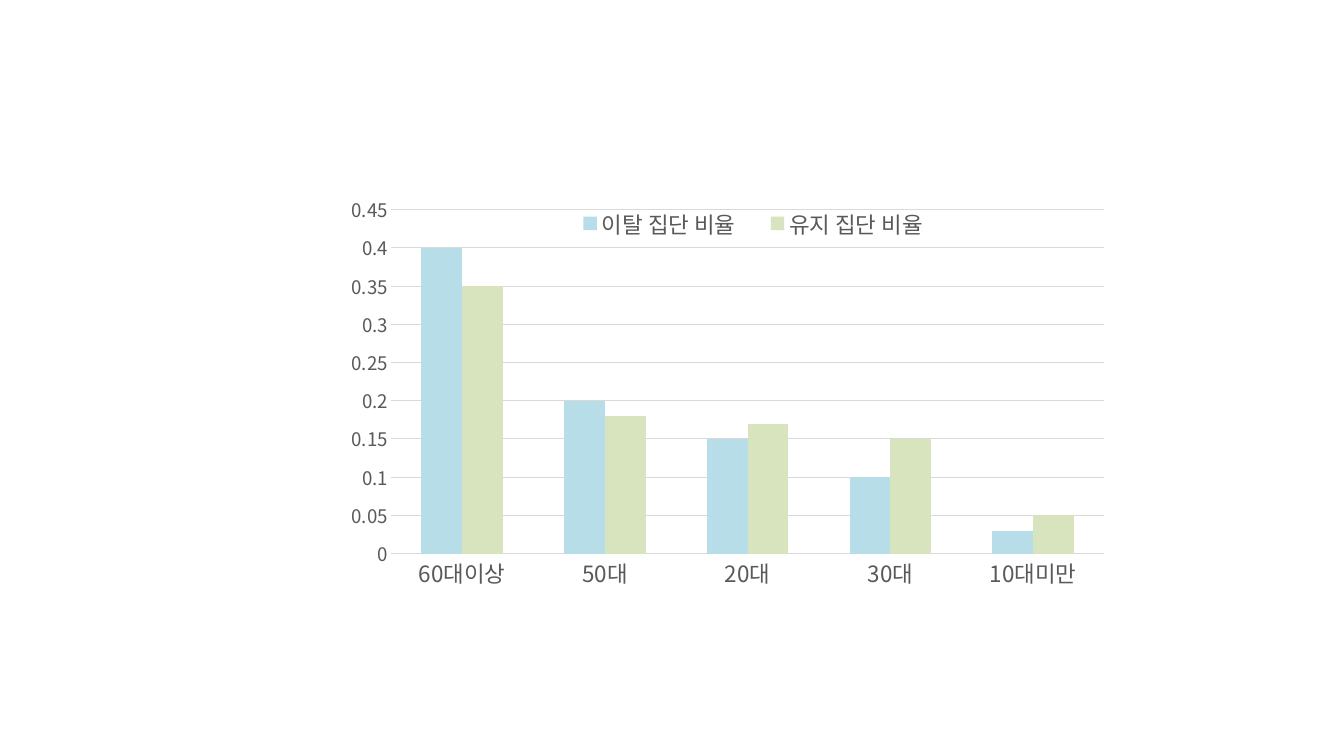
import pptx
import pptx.chart.data
import pptx.dml.color
import pptx.enum.chart
import pptx.oxml
import pptx.oxml.ns
import pptx.util

WIDE, HIGH = 20, 11.25
FACE = "Noto Sans CJK KR"
INK, GRID = "595959", "D9D9D9"
BOX = (5, 2.79, 11.67, 6.08)

AGES = ["60대이상", "50대", "20대", "30대", "10대미만"]
RATES = [
    ("이탈 집단 비율", "B7DEE8", [0.4, 0.2, 0.15, 0.1, 0.03]),
    ("유지 집단 비율", "D7E4BD", [0.35, 0.18, 0.17, 0.15, 0.05]),
]

# Percent of the chart's size: left, top, width, height
PLOT = (7, 5.4, 91, 84.2)
KEY = (28, 4.8, 50.4, 8)


def color(code):
    return pptx.dml.color.RGBColor.from_string(code)


def style(font, size, code=INK):
    font.name, font.size, font.bold = FACE, pptx.util.Pt(size), False
    font.color.rgb = color(code)


def rule(line):
    line.color.rgb = color(GRID)
    line.width = pptx.util.Pt(0.75)


def place(node, share, after=None, inner=False):
    """Fix the place of a chart part by percent of the chart's size."""
    for old in node.findall(pptx.oxml.ns.qn("c:layout")):
        node.remove(old)
    target = '<c:layoutTarget val="inner"/>' if inner else ""
    modes = "".join(f'<c:{n}Mode val="edge"/>' for n in "xy")
    parts = "".join(f'<c:{n} val="{v / 100:.3f}"/>' for n, v in zip("xywh", share))
    layout = pptx.oxml.parse_xml(
        f'<c:layout {pptx.oxml.ns.nsdecls("c")}><c:manualLayout>'
        f"{target}{modes}{parts}</c:manualLayout></c:layout>"
    )
    if after is None:
        node.insert(0, layout)
    else:
        node.find(pptx.oxml.ns.qn(after)).addnext(layout)


def draw(slide):
    data = pptx.chart.data.CategoryChartData()
    data.categories = AGES
    for name, _, rates in RATES:
        data.add_series(name, rates)
    enums = pptx.enum.chart
    chart = slide.shapes.add_chart(
        enums.XL_CHART_TYPE.COLUMN_CLUSTERED,
        *map(pptx.util.Inches, BOX), data,
    ).chart
    style(chart.font, 10, "000000")
    chart.has_title = False

    bars = chart.plots[0]
    bars.gap_width, bars.overlap, bars.vary_by_categories = 150, 0, False
    for series, (_, code, _) in zip(bars.series, RATES):
        series.format.fill.solid()
        series.format.fill.fore_color.rgb = color(code)
        series.format.line.fill.background()

    ages, scale = chart.category_axis, chart.value_axis
    for axis, size in ((ages, 24), (scale, 20)):
        axis.major_tick_mark = axis.minor_tick_mark = enums.XL_TICK_MARK.NONE
        style(axis.tick_labels.font, size)
    rule(ages.format.line)
    scale.format.line.fill.background()
    scale.minimum_scale, scale.maximum_scale, scale.major_unit = 0, 0.45, 0.05
    scale.has_major_gridlines = True
    rule(scale.major_gridlines.format.line)

    chart.has_legend = True
    chart.legend.position = enums.XL_LEGEND_POSITION.TOP
    chart.legend.include_in_layout = True
    style(chart.legend.font, 24)

    root = chart._chartSpace
    place(root.xpath("c:chart/c:plotArea")[0], PLOT, inner=True)
    place(root.xpath("c:chart/c:legend")[0], KEY, after="c:legendPos")


def main():
    deck = pptx.Presentation()
    deck.slide_width = pptx.util.Inches(WIDE)
    deck.slide_height = pptx.util.Inches(HIGH)
    draw(deck.slides.add_slide(deck.slide_layouts[6]))
    deck.save("out.pptx")


if __name__ == "__main__":
    main()
